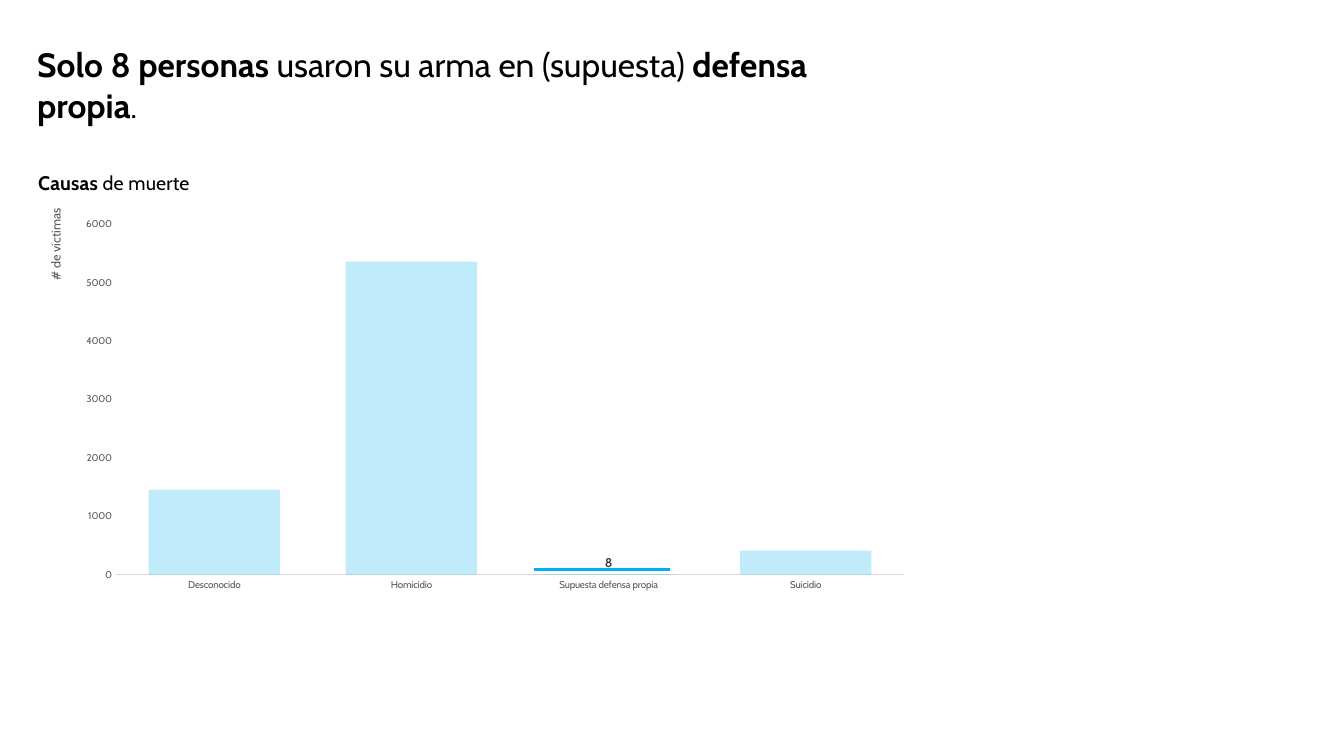
from lxml.etree import SubElement
from pptx import Presentation
from pptx.chart.data import CategoryChartData
from pptx.dml.color import RGBColor
from pptx.enum.chart import XL_CHART_TYPE as ChartType, XL_LABEL_POSITION as LabelPos, XL_TICK_MARK as Tick
from pptx.enum.shapes import MSO_CONNECTOR as Connector
from pptx.enum.text import MSO_AUTO_SIZE as AutoSize
from pptx.oxml import parse_xml
from pptx.oxml.ns import nsdecls, qn
from pptx.util import Pt

BLACK = RGBColor(0x00, 0x00, 0x00)
DARK_GREY = RGBColor(0x40, 0x40, 0x40)
GREY = RGBColor(0x59, 0x59, 0x59)
LIGHT_GREY = RGBColor(0xD9, 0xD9, 0xD9)
BLUE = RGBColor(0x00, 0xB0, 0xF0)

DEATHS = {"Desconocido": 1455, "Homicidio": 5354, "Supuesta defensa propia": 8, "Suicidio": 410}
HIGHLIGHT = "Supuesta defensa propia"


class SlideBuilder:
    """Draws styled elements on the current slide."""

    def __init__(self, slide, face="Cabin"):
        self.slide = slide
        self.face = face

    def style(self, font, size, color, bold=False):
        for name, value in {"name": self.face, "size": Pt(size), "bold": bold}.items():
            setattr(font, name, value)
        font.color.rgb = color

    def add_runs(self, paragraph, pieces, size, color):
        for words, bold in pieces:
            run = paragraph.add_run()
            run.text = words
            self.style(run.font, size, color, bold)

    def text(self, box, pieces, size):
        frame = self.slide.shapes.add_textbox(*map(Pt, box)).text_frame
        frame.word_wrap = True
        frame.auto_size = AutoSize.SHAPE_TO_FIT_TEXT
        self.add_runs(frame.paragraphs[0], pieces, size, BLACK)

    def line(self, start, end, color, width):
        rule = self.slide.shapes.add_connector(Connector.STRAIGHT, *map(Pt, start + end))
        rule.line.color.rgb = color
        rule.line.width = Pt(width)
        SubElement(rule._element.spPr, qn("a:effectLst"))

    def place(self, part, inner=False, **fractions):
        old = part.find(qn("c:layout"))
        if old is not None:
            part.remove(old)
        settings = {"layoutTarget": "inner"} if inner else {}
        settings.update({"xMode": "edge", "yMode": "edge"}, **fractions)
        rows = "".join(f'<c:{key} val="{value}"/>' for key, value in settings.items())
        layout = parse_xml(
            f'<c:layout {nsdecls("c")}><c:manualLayout>{rows}</c:manualLayout></c:layout>')
        part.insert(0 if part.find(qn("c:tx")) is None else 1, layout)

    def chart_title(self, title, pieces, size, color, x, y, rotation=0):
        frame = title.text_frame
        self.add_runs(frame.paragraphs[0], pieces, size, color)
        frame._txBody.bodyPr.set("rot", str(rotation * 60000))
        self.place(title._element, x=x, y=y)

    def axis(self, axis, line_color=None):
        formats = {"has_major_gridlines": False, "major_tick_mark": Tick.NONE,
                   "minor_tick_mark": Tick.NONE}
        for name, value in formats.items():
            setattr(axis, name, value)
        self.style(axis.tick_labels.font, 7, GREY)
        if line_color is None:
            axis.format.line.fill.background()
        else:
            axis.format.line.color.rgb = line_color
            axis.format.line.width = Pt(0.75)

    def fill(self, part, color, opacity=100):
        paint = part.format.fill
        paint.solid()
        paint.fore_color.rgb = color
        if opacity < 100:
            tint = next(paint._xPr.iter(qn("a:srgbClr")))
            SubElement(tint, qn("a:alpha")).set("val", str(opacity * 1000))

    def columns(self, box, values, highlight):
        data = CategoryChartData(number_format="General")
        data.categories = list(values)
        data.add_series("Series 1", list(values.values()))
        chart = self.slide.shapes.add_chart(
            ChartType.COLUMN_CLUSTERED, *map(Pt, box), data).chart
        chart.has_legend = False
        self.style(chart.font, 10, BLACK)
        plot = chart.plots[0]
        for name, value in {"gap_width": 50, "overlap": -27, "vary_by_categories": False}.items():
            setattr(plot, name, value)
        self.axis(chart.category_axis, LIGHT_GREY)
        self.axis(chart.value_axis)
        for name, value in {"minimum_scale": 0, "maximum_scale": 6000, "major_unit": 1000}.items():
            setattr(chart.value_axis, name, value)

        series = plot.series[0]
        self.fill(series, BLUE, 25)
        series.data_labels.show_value = False
        featured = series.points[list(values).index(highlight)]
        self.fill(featured, BLUE)
        featured.data_label.position = LabelPos.INSIDE_BASE
        self.style(featured.data_label.font, 9, DARK_GREY, True)

        self.place(chart._chartSpace.chart.plotArea, True, x=0.1, y=0.15, w=0.88, h=0.8)
        self.chart_title(chart.chart_title, [("Causas", True), (" de muerte", False)],
                         14, BLACK, 0.01, 0.02)
        self.chart_title(chart.value_axis.axis_title, [("# de víctimas", False)],
                         9, GREY, 0.02, 0.11, -90)


def main():
    """Build the slide and save it."""
    deck = Presentation()
    deck.slide_width, deck.slide_height = Pt(960), Pt(540)
    builder = SlideBuilder(deck.slides.add_slide(deck.slide_layouts[6]))
    headline = [("Solo 8 personas ", True), ("usaron su arma en (supuesta) ", False),
                ("defensa propia", True), (".", False)]
    builder.text((19.5, 28, 640, 65.5), headline, 24)
    builder.columns((18.7, 113, 640, 313.2), DEATHS, HIGHLIGHT)
    builder.line((381.6, 406.8), (478.8, 406.8), BLUE, 1.5)
    deck.save("out.pptx")


if __name__ == "__main__":
    main()
